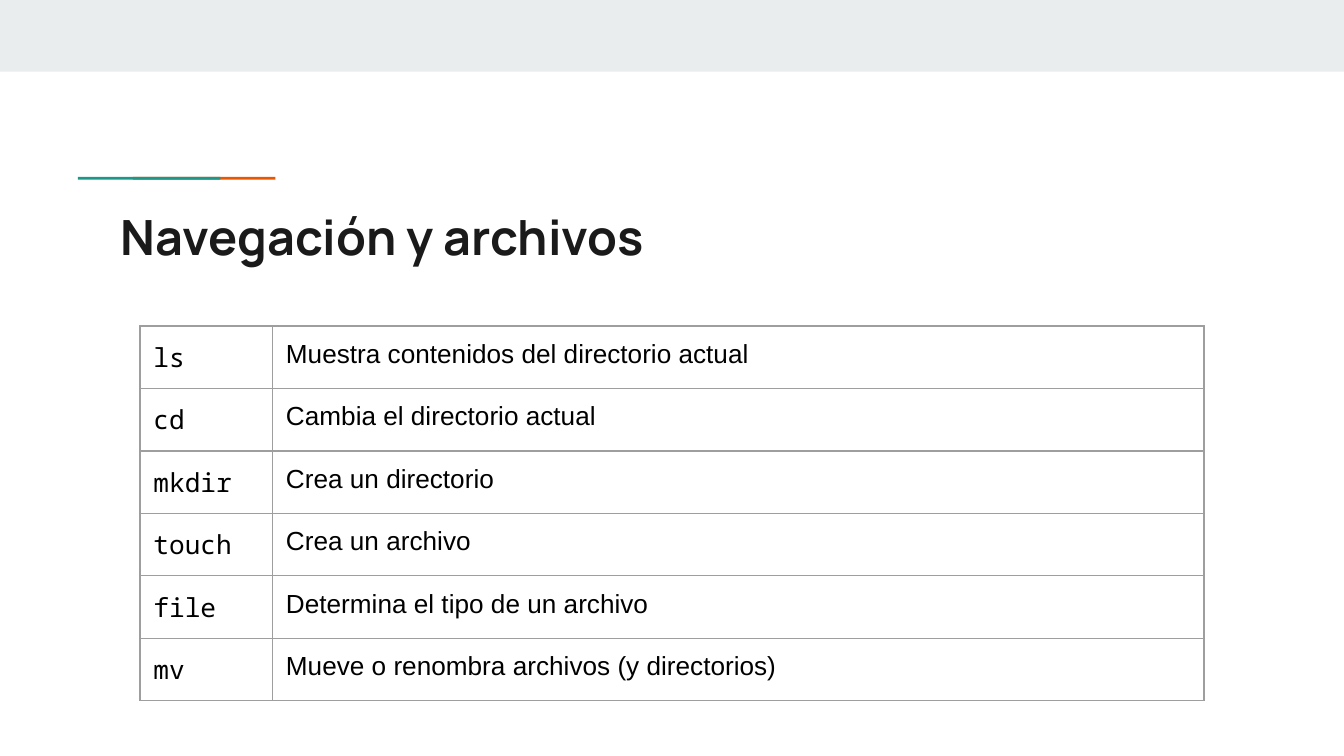
from lxml import etree
from pptx import Presentation
from pptx.dml.color import RGBColor
from pptx.enum.shapes import MSO_SHAPE
from pptx.enum.text import MSO_ANCHOR
from pptx.oxml.ns import qn
from pptx.util import Pt

RECT = MSO_SHAPE.RECTANGLE
TOP = MSO_ANCHOR.TOP

PALE = RGBColor(0xE9, 0xED, 0xEE)
GREEN = RGBColor(0x1A, 0x99, 0x88)
ORANGE = RGBColor(0xEB, 0x56, 0x00)
DARK = RGBColor(0x1A, 0x1A, 0x1A)
BLACK = RGBColor(0, 0, 0)
GRAY = RGBColor(0x9E, 0x9E, 0x9E)

HEAD = {"name": "Manrope", "size": Pt(26), "bold": True}
CODE = {"name": "Noto Sans Mono", "size": Pt(14), "bold": False}
BODY = {"name": "Arial", "size": Pt(14), "bold": False}
INSET = {f"margin_{side}": Pt(7.2)
         for side in ("left", "top", "right", "bottom")}

ROWS = [
    ("ls", "Muestra contenidos del directorio actual"),
    ("cd", "Cambia el directorio actual"),
    ("mkdir", "Crea un directorio"),
    ("touch", "Crea un archivo"),
    ("file", "Determina el tipo de un archivo"),
    ("mv", "Mueve o renombra archivos (y directorios)"),
]
WIDTHS = (71, 499)
ROW_H = 33.45


def apply(target, values):
    for key, value in values.items():
        setattr(target, key, value)


def write(frame, text, style, color):
    run = frame.paragraphs[0].add_run()
    run.text = text
    apply(run.font, style)
    run.font.color.rgb = color


def add_bar(slide, left, top, width, height, color):
    bar = slide.shapes.add_shape(
        RECT, Pt(left), Pt(top), Pt(width), Pt(height))
    bar.shadow.inherit = False
    bar.fill.solid()
    bar.fill.fore_color.rgb = color
    bar.line.fill.background()


def add_title(slide, text):
    box = slide.shapes.add_textbox(Pt(57.6), Pt(103.7), Pt(605.5), Pt(42.5))
    frame = box.text_frame
    apply(frame, {"word_wrap": True, "vertical_anchor": TOP, **INSET})
    write(frame, text, HEAD, DARK)


def add_border(cell):
    # Borders must come before the fill in the cell properties
    props = cell._tc.get_or_add_tcPr()
    for place, side in enumerate(("lnL", "lnR", "lnT", "lnB")):
        line = etree.Element(qn(f"a:{side}"), w=str(Pt(0.75)))
        fill = etree.SubElement(line, qn("a:solidFill"))
        etree.SubElement(fill, qn("a:srgbClr"), val=str(GRAY))
        props.insert(place, line)


def add_grid(slide, rows):
    frame = slide.shapes.add_table(
        len(rows), len(WIDTHS), Pt(75), Pt(174.7),
        Pt(sum(WIDTHS)), Pt(ROW_H * len(rows)))
    table = frame.table
    apply(table, {"first_row": False, "horz_banding": False})
    for column, width in zip(table.columns, WIDTHS):
        column.width = Pt(width)
    for r, texts in enumerate(rows):
        table.rows[r].height = Pt(ROW_H)
        for c, (text, style) in enumerate(zip(texts, (CODE, BODY))):
            cell = table.cell(r, c)
            apply(cell, {"vertical_anchor": TOP, **INSET})
            cell.fill.background()
            add_border(cell)
            write(cell.text_frame, text, style, BLACK)


def main():
    deck = Presentation()
    apply(deck, {"slide_width": Pt(720), "slide_height": Pt(405)})
    slide = deck.slides.add_slide(deck.slide_layouts[6])

    # Top band, then two bars of one length with green overlapping orange
    add_bar(slide, 0, 0, 720, 38.4, PALE)
    for left, color in ((71.2, ORANGE), (41.8, GREEN)):
        add_bar(slide, left, 94.8, 76.3, 1.5, color)

    # Title and command table
    add_title(slide, "Navegación y archivos")
    add_grid(slide, ROWS)

    deck.save("out.pptx")


if __name__ == "__main__":
    main()
